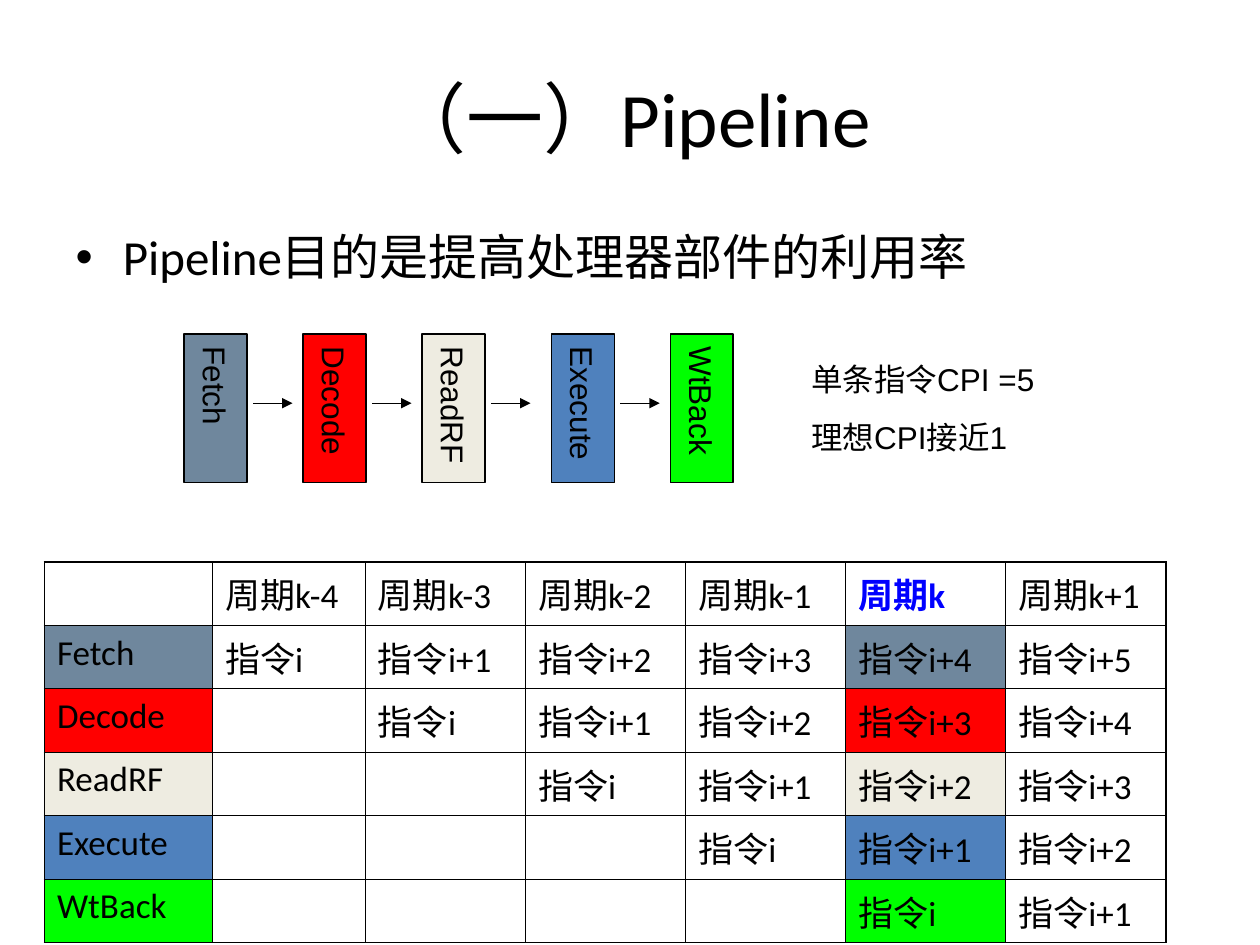
"""Build a slide that explains a five-stage processor pipeline."""
from lxml.etree import SubElement
from pptx import Presentation
from pptx.dml.color import RGBColor
from pptx.enum.shapes import MSO_CONNECTOR, MSO_SHAPE
from pptx.enum.text import MSO_ANCHOR, PP_ALIGN
from pptx.oxml.ns import qn
from pptx.util import Pt

BLACK = RGBColor(0, 0, 0)
BLUE = RGBColor(0, 0, 255)
SLATE = RGBColor(0x6F, 0x87, 0x9D)
RED = RGBColor(255, 0, 0)
CREAM = RGBColor(0xEE, 0xEC, 0xE1)
STEEL = RGBColor(0x4F, 0x81, 0xBD)
GREEN = RGBColor(0, 255, 0)

TITLE = "（一）Pipeline"
POINT = "Pipeline目的是提高处理器部件的利用率"
NOTES = ["单条指令CPI =5", "理想CPI接近1"]
STAGES = [("Fetch", SLATE), ("Decode", RED), ("ReadRF", CREAM),
          ("Execute", STEEL), ("WtBack", GREEN)]
CYCLES = ["k-4", "k-3", "k-2", "k-1", "k", "k+1"]
CURRENT = CYCLES.index("k")

BOX_LEFT, BOX_TOP, BOX_W, BOX_H = 105.2, 190.8, 36, 85
BOX_STEP, EXTRA_GAP = 68, 5.8
ARROW_Y, ARROW_OFFSET, ARROW_W = 230.4, 39.4, 22.6
COL_WIDTHS = [96, 87.4] + [91.5] * 5
ROW_H = 31.2
THIN, THICK = 0.45, 1.08


def write(tf, *lines, size=20, font="Calibri", color=BLACK, bold=False,
          align=PP_ALIGN.LEFT, gap=0):
    """Write one paragraph per line, with a gap between paragraphs."""
    for i, line in enumerate(lines):
        p = tf.paragraphs[0] if i == 0 else tf.add_paragraph()
        p.alignment = align
        p.space_before = Pt(gap if i else 0)
        r = p.add_run()
        r.text = line
        r.font.size, r.font.name, r.font.bold = Pt(size), font, bold
        r.font.color.rgb = color


def place(sp, left, top, width, height):
    """Move and size a shape."""
    sp.left, sp.top, sp.width, sp.height = map(Pt, (left, top, width, height))


def add_stage(s, left, name, color):
    """Add a stage box with vertical text."""
    sp = s.shapes.add_shape(MSO_SHAPE.RECTANGLE, Pt(left), Pt(BOX_TOP), Pt(BOX_W), Pt(BOX_H))
    sp.shadow.inherit = False
    sp.fill.solid()
    sp.fill.fore_color.rgb = color
    sp.line.color.rgb = BLACK
    sp.line.width = Pt(0.75)
    tf = sp.text_frame
    tf.margin_left = tf.margin_right = Pt(3.6)
    tf.margin_top = tf.margin_bottom = Pt(7.2)
    tf.vertical_anchor = MSO_ANCHOR.MIDDLE
    tf._txBody.bodyPr.set("vert", "eaVert")
    write(tf, name, size=18, font="Arial", align=PP_ALIGN.CENTER)


def add_arrow(s, left):
    """Add an arrow to the next stage."""
    arrow = s.shapes.add_connector(MSO_CONNECTOR.STRAIGHT, Pt(left), Pt(ARROW_Y),
                                   Pt(left + ARROW_W), Pt(ARROW_Y))
    arrow.line.color.rgb = BLACK
    arrow.line.width = Pt(0.75)
    SubElement(arrow.line._get_or_add_ln(), qn("a:tailEnd"), type="triangle")
    SubElement(arrow._element.spPr, qn("a:effectLst"))


def format_cell(cell, widths, color=None):
    """Draw the four borders of a cell, then fill it."""
    tcPr = cell._tc.get_or_add_tcPr()
    for side, width in zip("LRTB", widths):
        ln = SubElement(tcPr, qn(f"a:ln{side}"), w=str(Pt(width)))
        fill = SubElement(ln, qn("a:solidFill"))
        SubElement(fill, qn("a:srgbClr"), val=str(BLACK))
    if color is None:
        cell.fill.background()
    else:
        cell.fill.solid()
        cell.fill.fore_color.rgb = color


def cell_text(row, col):
    """Name the stage, cycle or instruction that belongs in a cell."""
    if row == 0:
        return f"周期{CYCLES[col - 1]}" if col else ""
    if col == 0:
        return STAGES[row - 1][0]
    step = col - row
    if step < 0:
        return ""
    return f"指令i+{step}" if step else "指令i"


def add_schedule(s):
    """Add the table of instructions by stage and cycle."""
    n_rows, n_cols = len(STAGES) + 1, len(COL_WIDTHS)
    table = s.shapes.add_table(n_rows, n_cols, Pt(25.4), Pt(321.1),
                               Pt(sum(COL_WIDTHS)), Pt(ROW_H * n_rows)).table
    table.first_row = table.horz_banding = False
    for column, width in zip(table.columns, COL_WIDTHS):
        column.width = Pt(width)
    for row in range(n_rows):
        table.rows[row].height = Pt(ROW_H)
        for col in range(n_cols):
            cell = table.cell(row, col)
            edges = (col == 0, col == n_cols - 1, row == 0, row == n_rows - 1)
            now = col == CURRENT + 1
            color = STAGES[row - 1][1] if row and (col == 0 or now) else None
            format_cell(cell, [THICK if edge else THIN for edge in edges], color)
            text = cell_text(row, col)
            if text:
                key = now and row == 0
                write(cell.text_frame, text, color=BLUE if key else BLACK, bold=key)


def main():
    prs = Presentation()
    prs.slide_width, prs.slide_height = Pt(720), Pt(540)
    s = prs.slides.add_slide(prs.slide_layouts[1])
    title, body = s.placeholders
    place(title, 36, 21.6, 648, 90)
    write(title.text_frame, TITLE, size=44, align=PP_ALIGN.CENTER)
    place(body, 36, 126, 648, 47.5)
    write(body.text_frame, POINT, size=28)

    for i, (name, color) in enumerate(STAGES):
        left = BOX_LEFT + i * BOX_STEP + (EXTRA_GAP if i >= 3 else 0)
        add_stage(s, left, name, color)
        if i < len(STAGES) - 1:
            add_arrow(s, left + ARROW_OFFSET)

    add_schedule(s)
    notes = s.shapes.add_textbox(Pt(456.5), Pt(202.3), Pt(158.4), Pt(62))
    notes.text_frame.word_wrap = True
    write(notes.text_frame, *NOTES, size=18, font="Arial", gap=11.2)
    prs.save("out.pptx")


if __name__ == "__main__":
    main()
